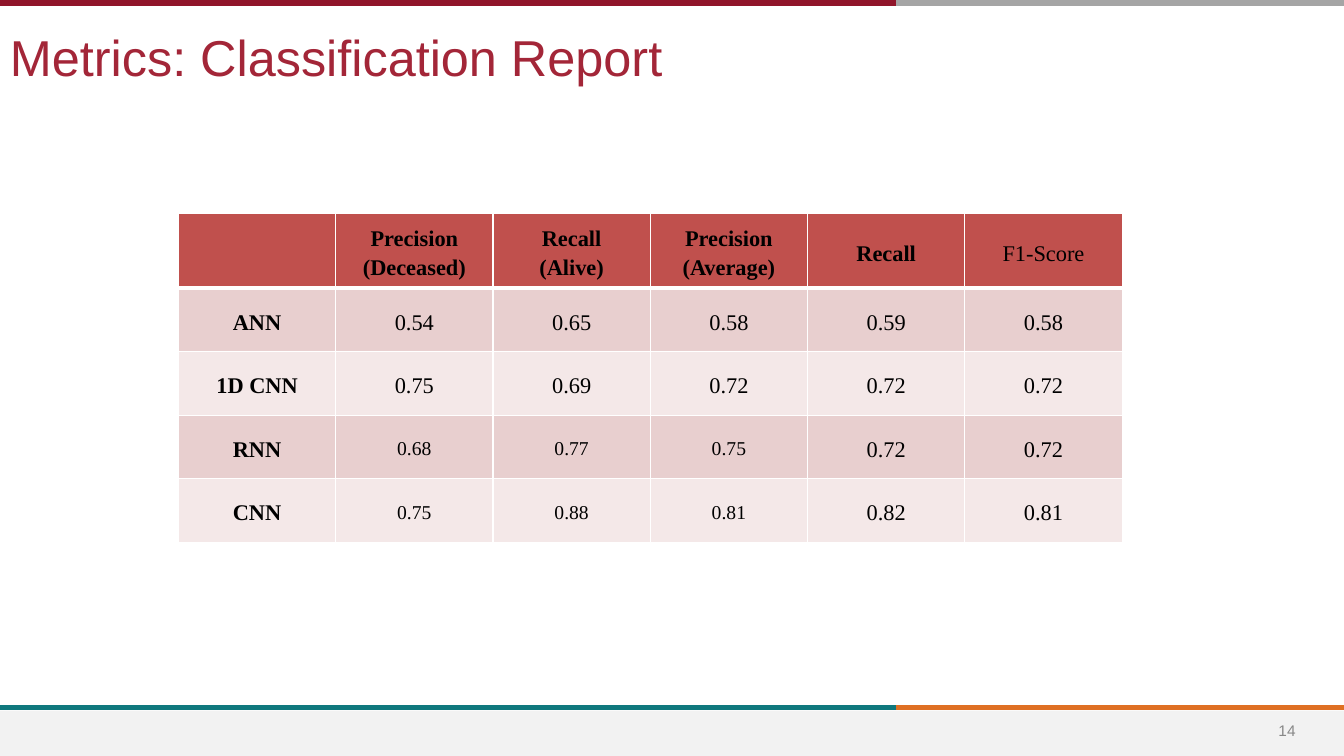
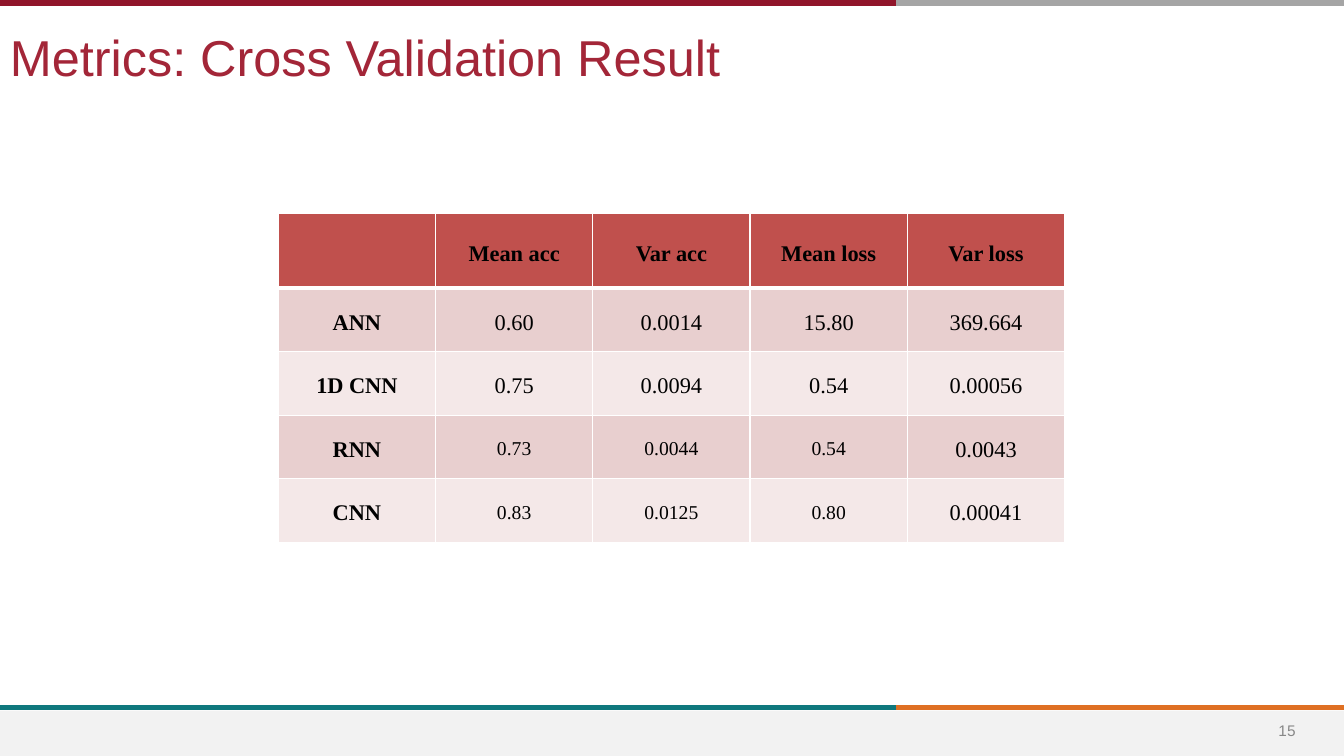
from lxml import etree
from pptx import Presentation
from pptx.dml.color import RGBColor
from pptx.enum import shapes as shp, text as txt
from pptx.oxml import ns
from pptx.util import Inches, Pt

WIDTH, HEIGHT = 13.33, 7.5
SPLIT = 8.89
SANS, SERIF = "Arial", "Times New Roman"
WHITE, BLACK, TITLE, GREY = "FFFFFF", "000000", "A32638", "888888"
FOOT, HEAD, BANDS = "F2F2F2", "C0504D", ("E8CFCF", "F4E8E8")
# y, left colour, right colour
RULES = ((7.02, "0F787D", "DF7023"), (0.03, "90152A", "A5A5A5"))
COL, TOP, ROW = 1.56, 2.12, 0.63

REPORT = [
    ["", "Precision\n(Deceased)", "Recall\n(Alive)", "Precision\n(Average)",
     "Recall", "F1-Score"],
    ["ANN", "0.54", "0.65", "0.58", "0.59", "0.58"],
    ["1D CNN", "0.75", "0.69", "0.72", "0.72", "0.72"],
    ["RNN", "0.68", "0.77", "0.75", "0.72", "0.72"],
    ["CNN", "0.75", "0.88", "0.81", "0.82", "0.81"],
]
CROSS = [
    ["", "Mean acc", "Var acc", "Mean loss", "Var loss"],
    ["ANN", "0.60", "0.0014", "15.80", "369.664"],
    ["1D CNN", "0.75", "0.0094", "0.54", "0.00056"],
    ["RNN", "0.73", "0.0044", "0.54", "0.0043"],
    ["CNN", "0.83", "0.0125", "0.80", "0.00041"],
]


def color(code):
    return RGBColor.from_string(code)


def style(para, face, size, code, bold=False):
    for run in para.runs:
        font = run.font
        font.name, font.size, font.bold = face, Pt(size), bold
        font.color.rgb = color(code)


def rule(slide, left, right, y, code):
    line = slide.shapes.add_connector(
        shp.MSO_CONNECTOR.STRAIGHT,
        Inches(left), Inches(y), Inches(right), Inches(y))
    line.line.color.rgb = color(code)
    line.line.width = Pt(4)
    etree.SubElement(line._element.spPr, ns.qn("a:effectLst"))


def label(slide, box, words, size, code):
    frame = slide.shapes.add_textbox(*map(Inches, box)).text_frame
    frame.word_wrap = True
    frame.text = words
    style(frame.paragraphs[0], SANS, size, code)
    return frame


def base(deck, title, number):
    slide = deck.slides.add_slide(deck.slide_layouts[6])
    # Footer band
    band = slide.shapes.add_shape(
        shp.MSO_SHAPE.RECTANGLE,
        Inches(0), Inches(7.05), Inches(WIDTH), Inches(0.45))
    band.shadow.inherit = False
    band.fill.solid()
    band.fill.fore_color.rgb = color(FOOT)
    band.line.fill.background()
    # Two-colour rules
    for y, first, last in RULES:
        rule(slide, SPLIT, WIDTH, y, last)
        rule(slide, 0, SPLIT, y, first)
    # Page number and title
    page = label(slide, (12.42, 7.05, 0.69, 0.4), str(number), 11, GREY)
    page.vertical_anchor = txt.MSO_ANCHOR.MIDDLE
    page.paragraphs[0].alignment = txt.PP_ALIGN.CENTER
    label(slide, (0, 0.21, 10.68, 0.65), title, 36, TITLE)
    return slide


def edges(cell, row):
    props = cell._tc.get_or_add_tcPr()
    for spot, side in enumerate("LRTB"):
        thick = (row, side) in ((0, "B"), (1, "T"))
        line = etree.Element(ns.qn("a:ln" + side), w=str(Pt(3 if thick else 1)))
        fill = etree.SubElement(line, ns.qn("a:solidFill"))
        etree.SubElement(fill, ns.qn("a:srgbClr"), val=WHITE)
        props.insert(spot, line)


def fill_cell(cell, words, row, col):
    cell.fill.solid()
    cell.fill.fore_color.rgb = color(BANDS[(row - 1) % 2] if row else HEAD)
    edges(cell, row)
    # The lower two rows have wider margins and smaller middle values
    low = row > 2
    cell.margin_left = cell.margin_right = Inches(0.1 if low else 0.07)
    cell.margin_top = cell.margin_bottom = Inches(0.05 if low else 0)
    cell.vertical_anchor = txt.MSO_ANCHOR.MIDDLE
    cell.text_frame.text = words
    bold = col == 0 or (row == 0 and words != "F1-Score")
    for para in cell.text_frame.paragraphs:
        para.alignment = txt.PP_ALIGN.CENTER
        para.line_spacing = 1.2
        style(para, SERIF, 14 if low and 1 <= col <= 3 else 16, BLACK, bold)


def grid(slide, left, rows):
    count = len(rows[0])
    heights = [0.74] + [ROW] * (len(rows) - 1)
    table = slide.shapes.add_table(
        len(rows), count, Inches(left), Inches(TOP),
        Inches(COL * count), Inches(sum(heights))).table
    for col in table.columns:
        col.width = Inches(COL)
    for r, (height, row) in enumerate(zip(heights, rows)):
        table.rows[r].height = Inches(height)
        for c, words in enumerate(row):
            fill_cell(table.cell(r, c), words, r, c)


def main():
    deck = Presentation()
    deck.slide_width, deck.slide_height = Inches(WIDTH), Inches(HEIGHT)
    pages = (("Metrics: Classification Report", 1.77, REPORT),
             ("Metrics: Cross Validation Result", 2.76, CROSS))
    for number, (title, left, rows) in enumerate(pages, 14):
        grid(base(deck, title, number), left, rows)
    deck.save("out.pptx")


if __name__ == "__main__":
    main()
